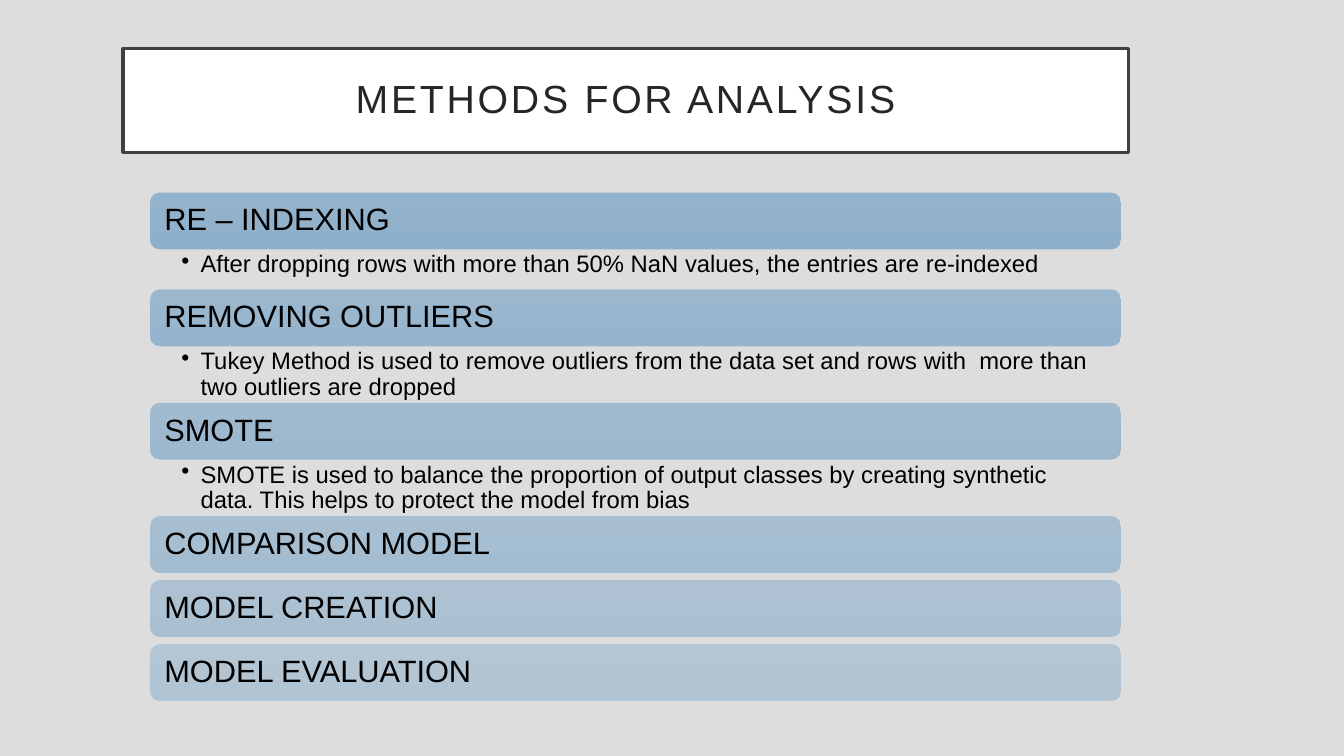
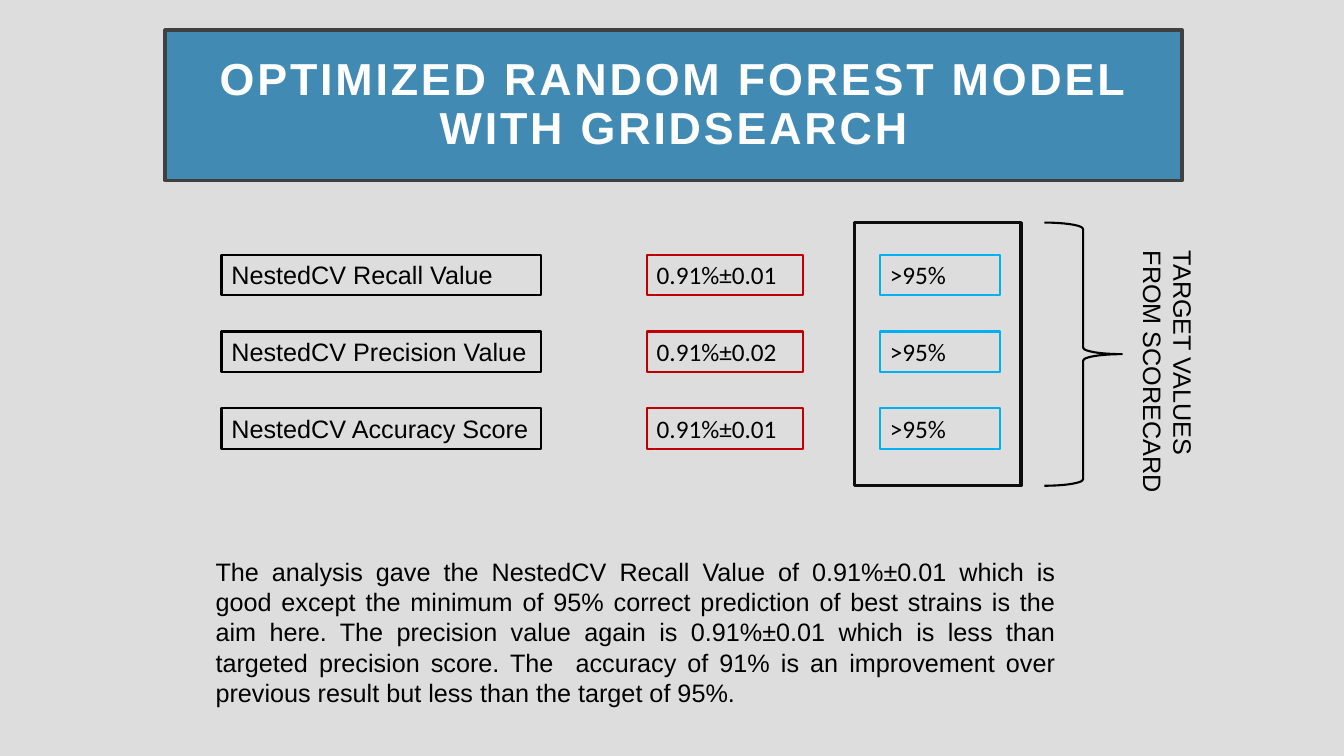
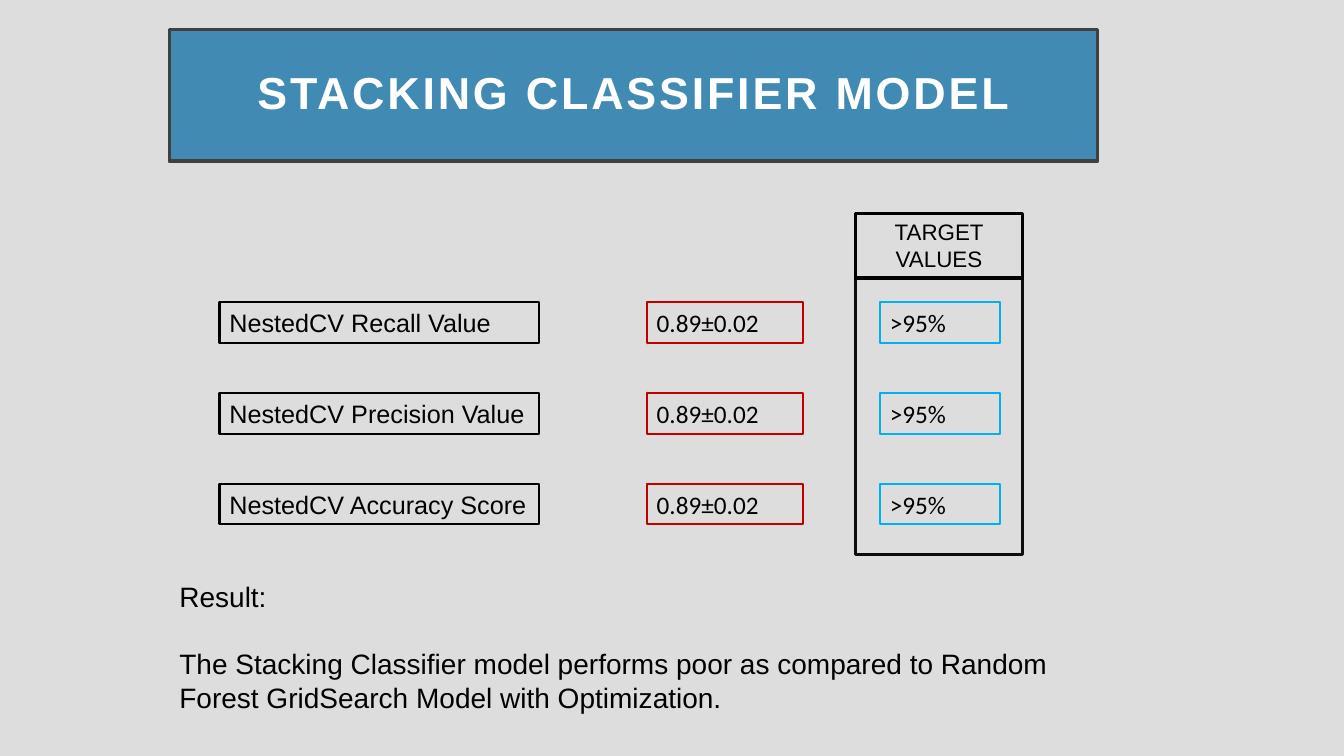
from lxml import etree
from pptx import Presentation
from pptx import util as u
from pptx.dml import color
from pptx.enum import shapes, text
from pptx.oxml import ns

Pt = u.Pt
BOX = shapes.MSO_SHAPE
ALIGN = text.PP_ALIGN
MID = text.MSO_ANCHOR.MIDDLE
BLACK, INK, BLUE = "000000", "0D0D0D", "418AB3"


def hue(code):
    return color.RGBColor.from_string(code)


def sub(node, tag, **attrs):
    return etree.SubElement(node, ns.qn(tag), attrs)


def write(frame, *lines, size=18, font="Arial", tint=BLACK, bold=False,
          align=ALIGN.LEFT, lead=None, after=0, track=0, bullet=None,
          pad=(7.2, 3.6, 7.2, 3.6), anchor=text.MSO_ANCHOR.TOP, turn=None):
    frame.word_wrap = True
    frame.auto_size = text.MSO_AUTO_SIZE.NONE
    frame.vertical_anchor = anchor
    sides = ("margin_left", "margin_top", "margin_right", "margin_bottom")
    for side, gap in zip(sides, pad):
        setattr(frame, side, Pt(gap))
    if turn:
        frame._txBody.bodyPr.set("vert", turn)
    for i, line in enumerate(lines):
        para = frame.add_paragraph() if i else frame.paragraphs[0]
        para.alignment = align
        para.space_after = Pt(after)
        if lead:
            para.line_spacing = lead
        if bullet:
            props = para._p.get_or_add_pPr()
            props.set("marL", str(Pt(13.7)))
            props.set("indent", str(-Pt(13.7)))
            sub(props, "a:buChar", char=bullet)
        run = para.add_run()
        run.text = line
        face = run.font
        face.name, face.size, face.bold = font, Pt(size), bold
        face.color.rgb = hue(tint)
        if track:
            run._r.get_or_add_rPr().set("spc", str(track * 100))


class Deck:
    """Hold the shared style and the current slide."""

    def __init__(self):
        self.prs = Presentation()
        self.prs.slide_width, self.prs.slide_height = Pt(960), Pt(540)
        back = self.prs.slide_master.background.fill
        back.solid()
        back.fore_color.rgb = hue("DDDDDD")

    def start(self, title, left, top, wide, high, fill=BLUE, **style):
        layout = self.prs.slide_layouts[5]
        self.slide = self.prs.slides.add_slide(layout)
        head = self.slide.shapes.title
        head.left, head.top = Pt(left), Pt(top)
        head.width, head.height = Pt(wide), Pt(high)
        head.fill.solid()
        head.fill.fore_color.rgb = hue(fill)
        head.line.color.rgb = hue("404040")
        head.line.width = Pt(2.5)
        look = dict(size=32, tint="FFFFFF", bold=True, align=ALIGN.CENTER,
                    lead=0.9, track=2, pad=(14.4,) * 4, anchor=MID)
        write(head.text_frame, title, **{**look, **style})

    def shape(self, left, top, wide, high, kind=BOX.RECTANGLE):
        item = self.slide.shapes.add_shape(
            kind, Pt(left), Pt(top), Pt(wide), Pt(high))
        item.shadow.inherit = False
        return item

    def frame(self, left, top, wide, high, edge, width=1.5,
              kind=BOX.RECTANGLE):
        item = self.shape(left, top, wide, high, kind)
        item.fill.background()
        item.line.color.rgb = hue(edge)
        item.line.width = Pt(width)
        return item

    def label(self, left, top, wide, high, *lines, **style):
        item = self.slide.shapes.add_textbox(
            Pt(left), Pt(top), Pt(wide), Pt(high))
        write(item.text_frame, *lines, **style)

    def bar(self, left, top, wide, high, words, alpha):
        item = self.shape(left, top, wide, high, BOX.ROUNDED_RECTANGLE)
        item.line.fill.background()
        item.fill.gradient()
        item.fill.gradient_angle = 270
        for stop, code in zip(item.fill.gradient_stops, ("8CAFCB", "87ACCA")):
            stop.color.rgb = hue(code)
        for node in item.element.spPr.iter(ns.qn("a:srgbClr")):
            sub(node, "a:alpha", val=str(alpha * 1000))
        write(item.text_frame, words, size=22, lead=0.9, anchor=MID,
              pad=(8.2, 6.5, 8.2, 6.5))

    def scores(self, left, top, step, values):
        names = ("Recall Value", "Precision Value", "Accuracy Score")
        for i, (name, value) in enumerate(zip(names, values)):
            row = (
                (left, 228.5, BLACK, f"NestedCV {name}", "Arial"),
                (462, 111.5, "C00000", value, "Calibri"),
                (628.6, 86, "00B0F0", ">95%", "Calibri"),
            )
            for x, wide, edge, words, font in row:
                cell = self.frame(x, top + i * step, wide, 29, edge)
                write(cell.text_frame, words, font=font)


def methods(deck):
    deck.start("METHODS FOR ANALYSIS", 88, 34.6, 718, 74.2, fill="FFFFFF",
               size=28, tint="262626", bold=False)
    steps = (
        ("RE – INDEXING", 28.7, "After dropping rows with more than 50% NaN "
         "values, the entries are re-indexed"),
        ("REMOVING OUTLIERS", 40.5, "Tukey Method is used to remove outliers "
         "from the data set and rows with  more than two outliers are "
         "dropped"),
        ("SMOTE", 40.5, "SMOTE is used to balance the proportion of output "
         "classes by creating synthetic data. This helps to protect the "
         "model from bias"),
        ("COMPARISON MODEL", 5.2, None),
        ("MODEL CREATION", 5.2, None),
        ("MODEL EVALUATION", 5.2, None),
    )
    left, top, wide, high = 107.3, 137.5, 693.4, 40.5
    for i, (name, gap, note) in enumerate(steps):
        deck.bar(left, top, wide, high, name, 90 - 8 * i)
        top += high
        if note:
            deck.label(left, top, wide, gap, note, size=17, lead=0.9,
                       bullet="•", pad=(22.3, 2.2, 12.2, 2.2))
        top += gap


def forest(deck):
    deck.start("OPTIMIZED RANDOM FOREST MODEL WITH GRIDSEARCH",
               118, 21.6, 726.5, 107.3)
    deck.scores(158.2, 182, 54.8, ("0.91%±0.01", "0.91%±0.02", "0.91%±0.01"))
    top, high = 159, 188
    deck.frame(610.5, top, 118.8, high, INK, 2.25)
    deck.frame(746, top, 55.4, high, BLACK, kind=BOX.RIGHT_BRACE)
    deck.label(801.4, 172, 58.3, high, "TARGET VALUES", "FROM SCORECARD",
               turn="vert")
    deck.label(146.9, 393.8, 614.2, 116.6,
               "The analysis gave the NestedCV Recall Value of 0.91%±0.01 "
               "which is good except the minimum of 95% correct prediction "
               "of best strains is the aim here. The precision value again "
               "is 0.91%±0.01 which is less than targeted precision score. "
               "The  accuracy of 91% is an improvement over previous result "
               "but less than the target of 95%.", align=ALIGN.JUSTIFY)


def stack(deck):
    deck.start("STACKING CLASSIFIER MODEL", 121, 20.9, 663, 94.3)
    deck.scores(156.8, 216, 64.8, ("0.89±0.02",) * 3)
    left, top, wide, high = 611.3, 152.6, 118.8, 46
    deck.frame(left, top + high, wide, 197.3, INK, 2.25)
    head = deck.frame(left, top, wide, high, BLACK, 2.25)
    write(head.text_frame, "TARGET VALUES", size=16, align=ALIGN.CENTER)
    deck.label(121, 410.4, 663, 104.4, "Result:",
               "The Stacking Classifier model performs poor as compared to "
               "Random Forest GridSearch Model with Optimization.",
               size=20, after=24)


def main():
    deck = Deck()
    for build in (methods, forest, stack):
        build(deck)
    deck.prs.save("out.pptx")


if __name__ == "__main__":
    main()
